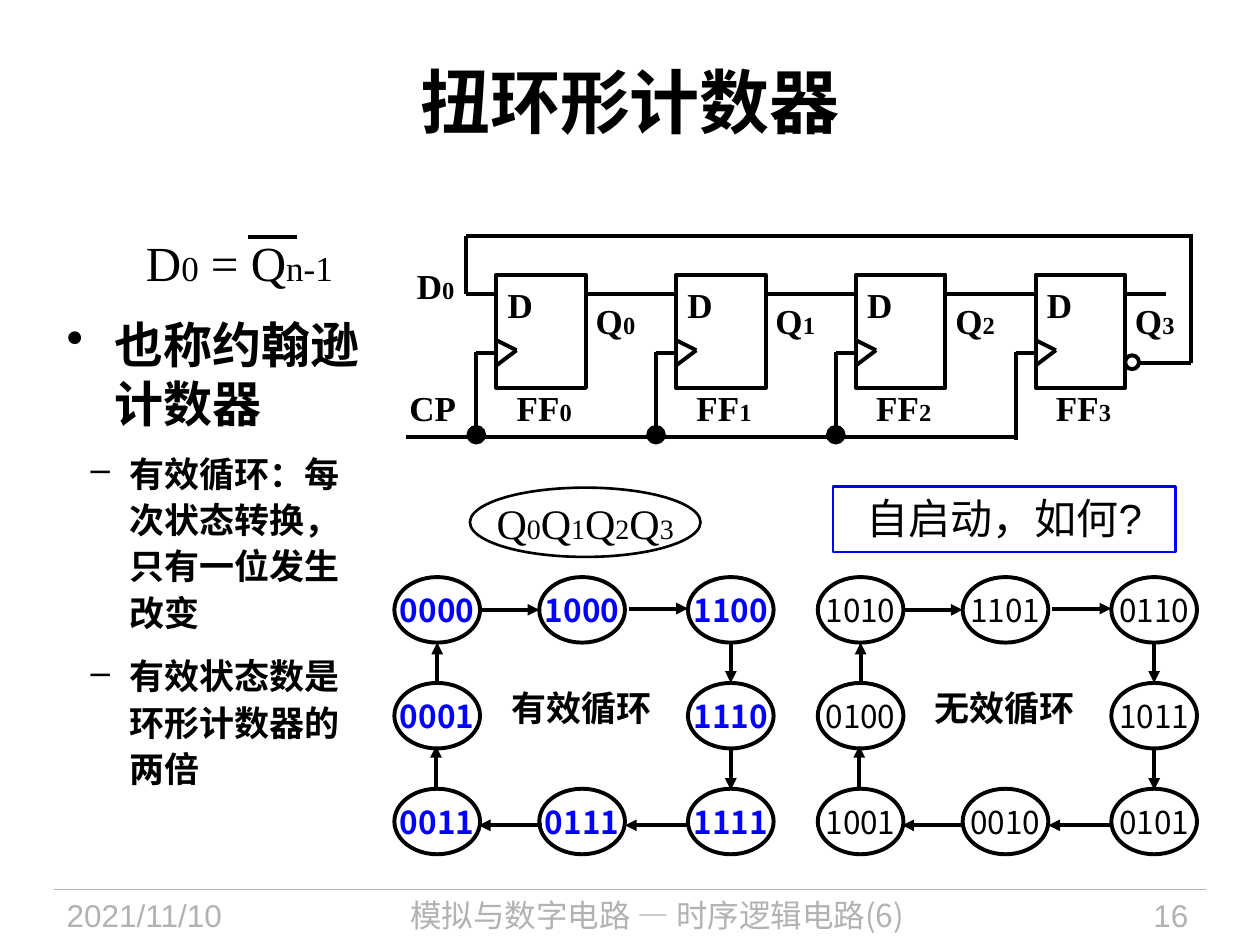
from lxml.etree import SubElement
from pptx import Presentation
from pptx.dml.color import RGBColor
from pptx.enum.shapes import MSO_CONNECTOR, MSO_SHAPE
from pptx.enum.text import MSO_ANCHOR, PP_ALIGN
from pptx.oxml.ns import qn
from pptx.util import Inches, Pt

BLACK = RGBColor(0, 0, 0)
WHITE = RGBColor(255, 255, 255)
BLUE = RGBColor(0, 0, 255)
GRAY = RGBColor(0xB2, 0xB2, 0xB2)
LEFT, MID, RIGHT = PP_ALIGN.LEFT, PP_ALIGN.CENTER, PP_ALIGN.RIGHT
TOP, CENTER = MSO_ANCHOR.TOP, MSO_ANCHOR.MIDDLE
RECT, OVAL = MSO_SHAPE.RECTANGLE, MSO_SHAPE.OVAL
STRAIGHT = MSO_CONNECTOR.STRAIGHT
TIMES, ARIAL, NOTO = "Times New Roman", "Arial", "Noto Sans CJK SC"
EAST = {TIMES: ARIAL, ARIAL: ARIAL, NOTO: NOTO}
STEP = 4.28 / 3
SHIFT = 3.36
COLS = (3.13, 4.28, 5.46)
ROWS = (4.58, 5.42, 6.26)
SPOTS = [(0, 0), (1, 0), (2, 0), (2, 1), (2, 2), (1, 2), (0, 2), (0, 1)]
ARROWS = [
    (3.81, 4.84, 4.28, 4.84), (4.99, 4.83, 5.46, 4.83),
    (5.8, 5.1, 5.8, 5.42), (5.8, 5.94, 5.8, 6.27),
    (5.46, 6.55, 4.96, 6.55), (4.3, 6.55, 3.8, 6.55),
    (3.46, 6.25, 3.46, 5.92), (3.47, 5.42, 3.47, 5.1),
]
VALID = ["0000", "1000", "1100", "1110", "1111", "0111", "0011", "0001"]
WASTE = ["1010", "1101", "0110", "1011", "0101", "0010", "1001", "0100"]


def write(frame, *paras, size=20, font=TIMES, color=BLACK, bold=False,
          align=LEFT, anchor=TOP, wrap=False, bullet=None, indent=(0, 0),
          before=0, after=0, spacing=None):
    """Fill a frame; a paragraph is a string or a list of (text, size)."""
    frame.word_wrap = wrap
    frame.vertical_anchor = anchor
    for i, para in enumerate(paras):
        p = frame.paragraphs[0] if i == 0 else frame.add_paragraph()
        p.alignment = align
        p.space_before = Pt(before if i else 0)
        p.space_after = Pt(after)
        if spacing:
            p.line_spacing = spacing
        if bullet:
            props = p._p.get_or_add_pPr()
            props.set("marL", str(Inches(indent[0])))
            props.set("indent", str(Inches(indent[1])))
            SubElement(props, qn("a:buChar")).set("char", bullet)
        for words, points in [(para, size)] if isinstance(para, str) else para:
            run = p.add_run()
            run.text = words
            run.font.size = Pt(points)
            run.font.bold = bold
            run.font.name = font
            run.font.color.rgb = color
            east = SubElement(run._r.get_or_add_rPr(), qn("a:ea"))
            east.set("typeface", EAST[font])


def label(slide, box, *paras, **style):
    """Add a text box."""
    area = slide.shapes.add_textbox(*map(Inches, box))
    write(area.text_frame, *paras, **style)


def shape(slide, kind, box, color=BLACK, width=2.25, fill=None):
    """Add an outlined shape and return it."""
    item = slide.shapes.add_shape(kind, *map(Inches, box))
    item.shadow.inherit = False
    if fill is None:
        item.fill.background()
    else:
        item.fill.solid()
        item.fill.fore_color.rgb = fill
    item.line.color.rgb = color
    item.line.width = Pt(width)
    return item


def line(slide, ends, color=BLACK, width=2.25, tip=None, scale="med"):
    """Add a straight line with an optional tip at its end."""
    item = slide.shapes.add_connector(STRAIGHT, *map(Inches, ends))
    item.line.color.rgb = color
    item.line.width = Pt(width)
    props = item._element.spPr
    if tip:
        end = SubElement(props.find(qn("a:ln")), qn("a:tailEnd"))
        for key, value in (("type", tip), ("w", scale), ("len", scale)):
            end.set(key, value)
    SubElement(props, qn("a:effectLst"))


def stage(slide, i):
    """Draw one flip-flop with its labels and wires."""
    x = 3.94 + i * STEP
    last = i == 3
    shape(slide, RECT, (x, 2.18, 0.71, 0.9))
    line(slide, (x, 2.7, x + 0.16, 2.78))
    line(slide, (x + 0.16, 2.78, x, 2.9))
    line(slide, (x - 0.16, 2.8, x, 2.8))
    line(slide, (x + 0.71, 2.33, x + (1.03 if last else STEP), 2.33))
    line(slide, (x - 0.16, 2.79, x - 0.16, 3.49 if last else 3.45),
         tip=None if last else "oval", scale="lg")
    label(slide, (x - 0.01, 2.2, 0.4, 0.43), "D", bold=True)
    label(slide, (x + 0.06, 3.02, 0.64, 0.43), [("FF", 20), (str(i), 14)],
          bold=True, align=MID)
    label(slide, (x + 0.69, 2.33, 0.56, 0.43), [("Q", 20), (str(i), 14)],
          bold=True)


def circuit(slide):
    """Draw the shift register with inverted feedback."""
    for i in range(4):
        stage(slide, i)
    for ends in [(3.22, 3.47, 8.06, 3.47), (3.94, 2.33, 3.7, 2.33),
                 (3.7, 2.33, 3.7, 1.87), (9.45, 1.87, 3.7, 1.87),
                 (9.45, 2.88, 9.45, 1.86), (8.93, 2.88, 9.45, 2.88)]:
        line(slide, ends)
    shape(slide, OVAL, (8.93, 2.82, 0.11, 0.11), fill=WHITE)
    label(slide, (3.21, 2.05, 0.55, 0.43), [("D", 20), ("0", 14)], bold=True)
    label(slide, (3.15, 3.02, 0.57, 0.43), "CP", bold=True, align=MID)


def ring(slide, title, codes, dx=0, color=BLACK, bold=False):
    """Draw a closed loop of eight states."""
    label(slide, (3.96 + dx, 5.4, 1.31, 0.43), title, font=ARIAL, bold=True,
          align=MID)
    for code, (col, row) in zip(codes, SPOTS):
        state = shape(slide, OVAL, (COLS[col] + dx, ROWS[row], 0.68, 0.52))
        write(state.text_frame, code, size=18, font=NOTO, color=color,
              bold=bold, align=MID, anchor=CENTER)
    for x, y, u, v in ARROWS:
        line(slide, (x + dx, y, u + dx, v), tip="triangle")


def notes(slide):
    """Add the equation and the bullets on the left."""
    label(slide, (1.06, 1.8, 1.75, 0.57),
          [("D", 28), ("0", 20), (" = Q", 28), ("n-1", 20)])
    line(slide, (1.97, 1.88, 2.36, 1.88))
    label(slide, (0.43, 2.45, 2.57, 1.14), "也称约翰逊计数器", size=28, bold=True,
          wrap=True, bullet="•", indent=(0.38, -0.38), after=5.6)
    label(slide, (0.12, 3.51, 2.95, 3.47),
          "有效循环：每次状态转换，只有一位发生改变", "有效状态数是环形计数器的两倍",
          bold=True, wrap=True, bullet="–", indent=(0.81, -0.31),
          before=6, after=4, spacing=1.1)


def footer(slide):
    """Add the rule, date, course name and page number."""
    line(slide, (0.43, 7.06, 9.57, 7.06), color=GRAY, width=0.75)
    for x, width, words, font, align in [
            (0.43, 1.88, "2021/11/10", ARIAL, LEFT),
            (2.4, 5.63, "模拟与数字电路 — 时序逻辑电路(6)", NOTO, MID),
            (8.2, 1.33, "16", ARIAL, RIGHT)]:
        label(slide, (x, 7.06, width, 0.44), words, size=18, font=font,
              color=GRAY, align=align, wrap=True)


def main():
    """Build the slide and save it."""
    deck = Presentation()
    deck.slide_width, deck.slide_height = Inches(10), Inches(7.5)
    slide = deck.slides.add_slide(deck.slide_layouts[6])
    footer(slide)
    label(slide, (0.5, 0.17, 9, 1.25), "扭环形计数器", size=40, bold=True,
          align=MID, anchor=CENTER, wrap=True)
    notes(slide)
    circuit(slide)
    ring(slide, "有效循环", VALID, color=BLUE, bold=True)
    ring(slide, "无效循环", WASTE, dx=SHIFT)
    key = shape(slide, OVAL, (3.73, 3.87, 1.83, 0.55), width=1.5)
    names = [part for i in range(4) for part in (("Q", 24), (str(i), 16))]
    write(key.text_frame, names, align=MID, anchor=CENTER)
    ask = shape(slide, RECT, (6.61, 3.86, 2.72, 0.52), color=BLUE, width=1.5)
    write(ask.text_frame, "自启动，如何?", size=24, font=ARIAL, align=MID,
          wrap=True)
    deck.save("out.pptx")


if __name__ == "__main__":
    main()
